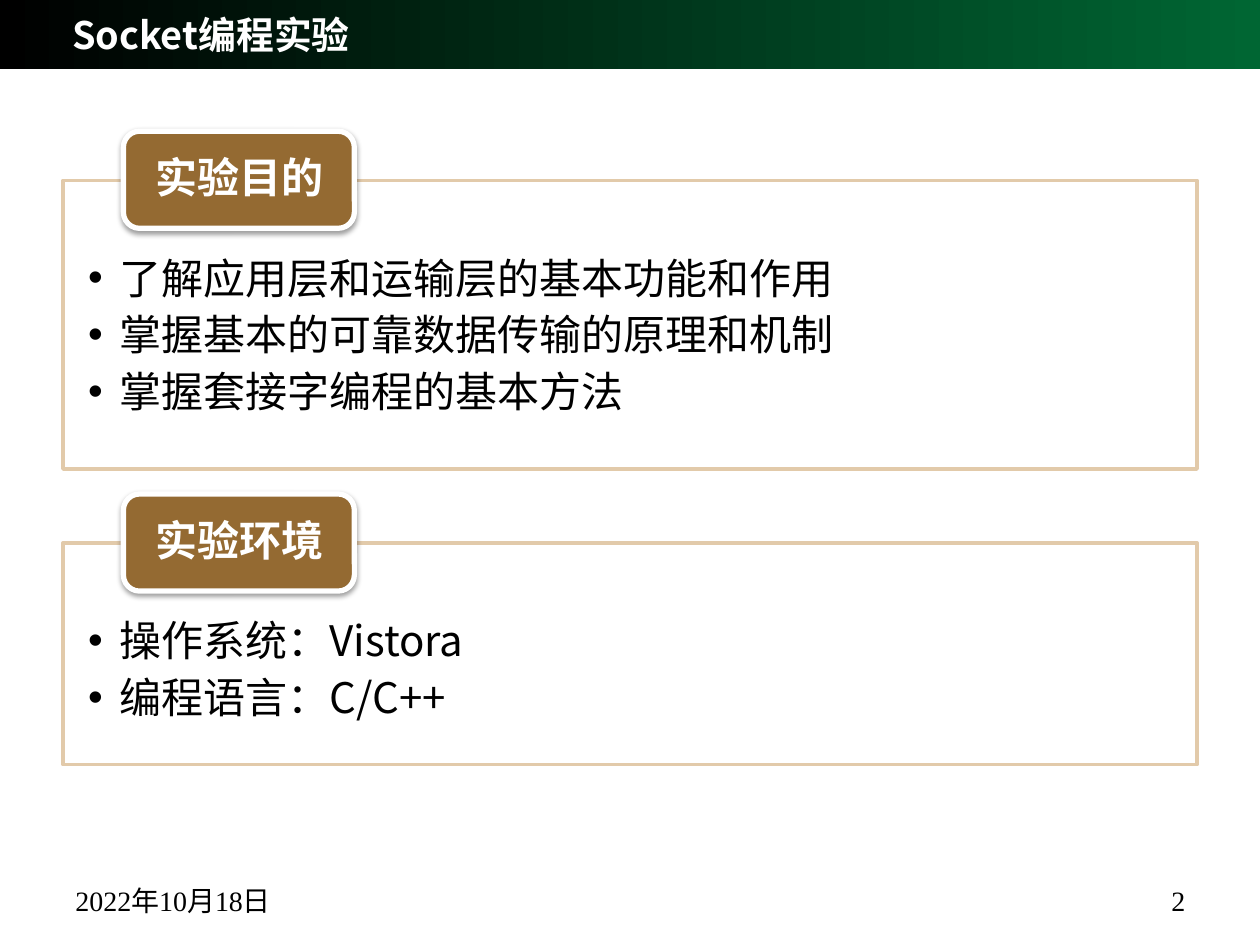
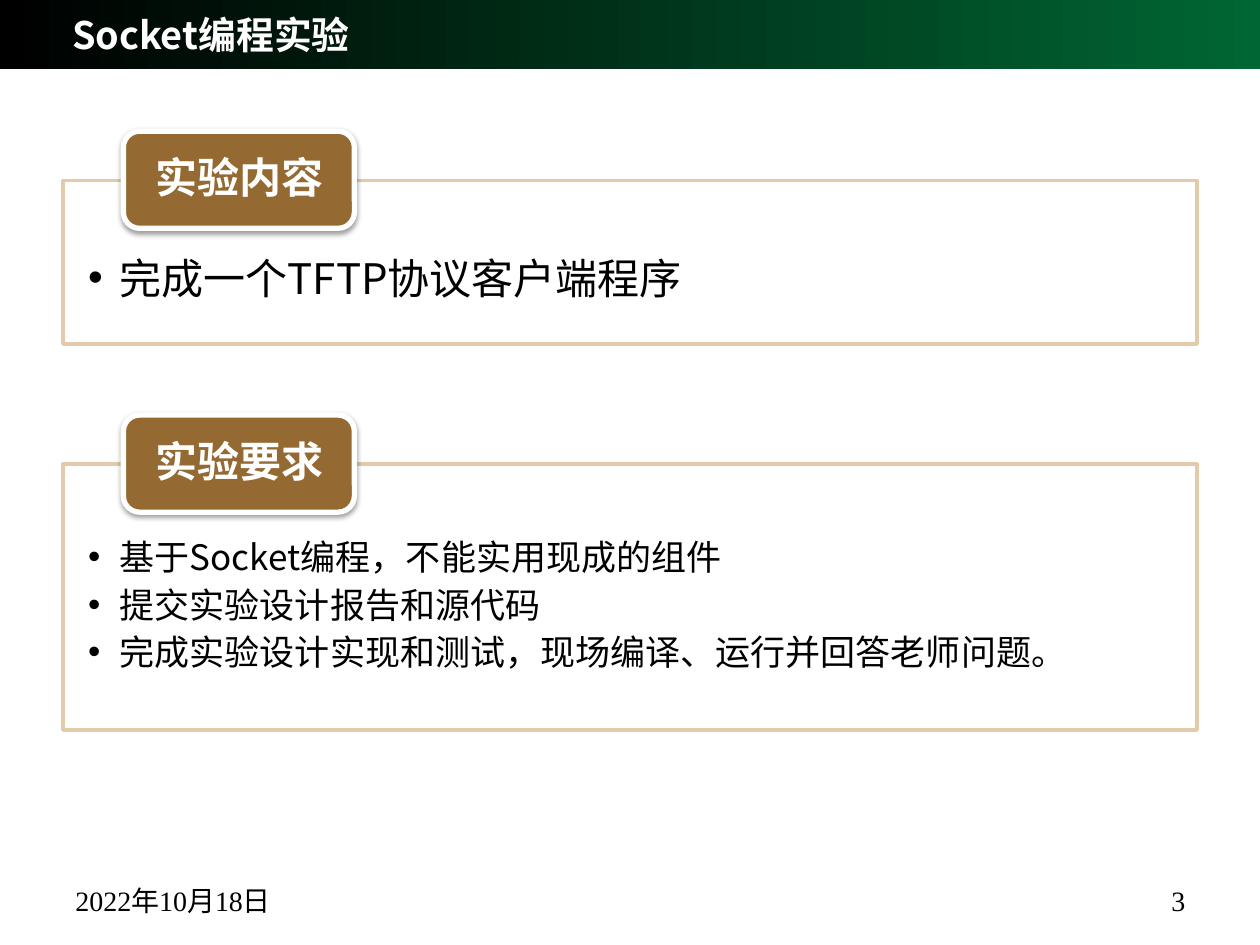
import pptx
import pptx.util
import pptx.dml.color
import pptx.enum.shapes
import pptx.enum.text
import pptx.oxml
import pptx.oxml.ns

Pt = pptx.util.Pt
RGB = pptx.dml.color.RGBColor.from_string
Align = pptx.enum.text.PP_ALIGN
Anchor = pptx.enum.text.MSO_ANCHOR
Kind = pptx.enum.shapes.MSO_SHAPE
NS = pptx.oxml.ns.nsdecls("a")

THEME = {
    "sans": "Noto Sans CJK SC", "serif": "Times New Roman",
    "black": RGB("000000"), "white": RGB("FFFFFF"), "green": RGB("006633"),
    "tan": RGB("E2CAAA"), "brown": RGB("946A32"),
    "title": 21.6, "head": 24, "foot": 16,
}

# Each look: frame, paragraph and font values, then the colour
BASE = {"word_wrap": True, "auto_size": pptx.enum.text.MSO_AUTO_SIZE.NONE}
TITLE = {
    "frame": {**BASE, "vertical_anchor": Anchor.MIDDLE},
    "para": {"alignment": Align.LEFT},
    "font": {"name": THEME["sans"], "size": Pt(THEME["title"]), "bold": True},
    "color": THEME["white"],
}
HEAD = {
    "frame": {**BASE, "vertical_anchor": Anchor.MIDDLE, "margin_left": Pt(15.5),
              "margin_right": 0, "margin_top": 0, "margin_bottom": 0},
    "para": {"alignment": Align.LEFT, "line_spacing": 0.9},
    "font": {"name": THEME["sans"], "size": Pt(THEME["head"]), "bold": True},
    "color": THEME["white"],
}
LIST = {
    "frame": {**BASE, "vertical_anchor": Anchor.TOP, "margin_left": Pt(14.4),
              "margin_right": Pt(14.4), "margin_top": Pt(41), "margin_bottom": Pt(13.5)},
    "para": {"alignment": Align.LEFT, "line_spacing": 1.0, "space_before": Pt(0)},
    "font": {"name": THEME["sans"], "bold": False},
    "color": THEME["black"],
    "bullet": "•",
}
FOOT = {
    "frame": {**BASE, "vertical_anchor": Anchor.BOTTOM},
    "para": {},
    "font": {"name": THEME["serif"], "size": Pt(THEME["foot"])},
    "color": THEME["black"],
}

# Per slide: (heading, top, height, type size, list items)
TITLE_TEXT = "Socket编程实验"
DATE = "2022年10月18日"
SLIDES = [
    [("实验目的", 103, 165, 24, ["了解应用层和运输层的基本功能和作用",
                             "掌握基本的可靠数据传输的原理和机制",
                             "掌握套接字编程的基本方法"]),
     ("实验环境", 310.3, 126.7, 24, ["操作系统：Vistora", "编程语言：C/C++"])],
    [("实验内容", 103, 93.6, 24, ["完成一个TFTP协议客户端程序"]),
     ("实验要求", 265.2, 152, 20, ["基于Socket编程，不能实用现成的组件",
                               "提交实验设计报告和源代码",
                               "完成实验设计实现和测试，现场编译、运行并回答老师问题。"])],
]


def assign(item, values):
    for name, value in values.items():
        setattr(item, name, value)


def write(shape, lines, look, **extra):
    """Fill a shape with one paragraph per line; extra holds more paragraph values."""
    frame = shape.text_frame
    assign(frame, look["frame"])
    for i, line in enumerate(lines):
        para = frame.add_paragraph() if i else frame.paragraphs[0]
        if "bullet" in look:
            props = para._p.get_or_add_pPr()
            props.set("marL", str(Pt(18)))
            props.set("indent", str(-Pt(18)))
            props.append(pptx.oxml.parse_xml(f'<a:buChar {NS} char="{look["bullet"]}"/>'))
        assign(para, {**look["para"], **extra})
        run = para.add_run()
        run.text = line
        assign(run.font, look["font"])
        run.font.color.rgb = look["color"]
        if look["font"]["name"] == THEME["sans"]:
            run._r.get_or_add_rPr().append(
                pptx.oxml.parse_xml(f'<a:ea {NS} typeface="{THEME["sans"]}"/>'))


deck = pptx.Presentation()
assign(deck, {"slide_width": Pt(720), "slide_height": Pt(540)})
layout = deck.slide_layouts[3]

for number, panels in enumerate(SLIDES, start=2):
    slide = deck.slides.add_slide(layout)
    shapes = slide.shapes

    # The band is made once and moved to the shared layout
    if number == 2:
        band = shapes.add_shape(Kind.RECTANGLE, 0, 0, Pt(720), Pt(39.4))
        band.shadow.inherit = False
        band.line.fill.background()
        band.fill.gradient()
        band.fill.gradient_angle = 0
        for stop, color in zip(band.fill.gradient_stops, (THEME["black"], THEME["green"])):
            stop.color.rgb = color
        layout.shapes.element.insert(2, band.element)

    title = shapes.title
    assign(title, {"left": Pt(34), "top": Pt(5.8), "width": Pt(300), "height": Pt(28)})
    write(title, [TITLE_TEXT], TITLE)

    for text, left, width, side in [(DATE, 36, 168, Align.LEFT),
                                    (str(number), 456.5, 228, Align.RIGHT)]:
        foot = shapes.add_textbox(Pt(left), Pt(491.4), Pt(width), Pt(36))
        write(foot, [text], FOOT, alignment=side)

    for slot, (head, top, height, size, items) in enumerate(panels, start=1):
        panel = slide.placeholders[slot]
        assign(panel, {"left": Pt(36), "top": Pt(top), "width": Pt(648), "height": Pt(height)})
        panel.fill.solid()
        panel.fill.fore_color.rgb = THEME["white"]
        panel.line.color.rgb = THEME["tan"]
        panel.line.width = Pt(2)
        look = {**LIST, "font": {**LIST["font"], "size": Pt(size)}}
        write(panel, items, look, space_after=Pt(0.15 * size))

        tab = shapes.add_shape(Kind.ROUNDED_RECTANGLE, Pt(70.5), Pt(top - 28),
                               Pt(132), Pt(55.5))
        tab.fill.solid()
        tab.fill.fore_color.rgb = THEME["brown"]
        tab.line.color.rgb = THEME["white"]
        tab.line.width = Pt(3)
        tab.element.spPr.append(pptx.oxml.parse_xml(
            f'<a:effectLst {NS}><a:outerShdw blurRad="{Pt(3.1)}" dist="{Pt(1.6)}" '
            'dir="5400000" rotWithShape="0"><a:srgbClr val="000000">'
            '<a:alpha val="38000"/></a:srgbClr></a:outerShdw></a:effectLst>'))
        write(tab, [head], HEAD)

deck.save("out.pptx")
